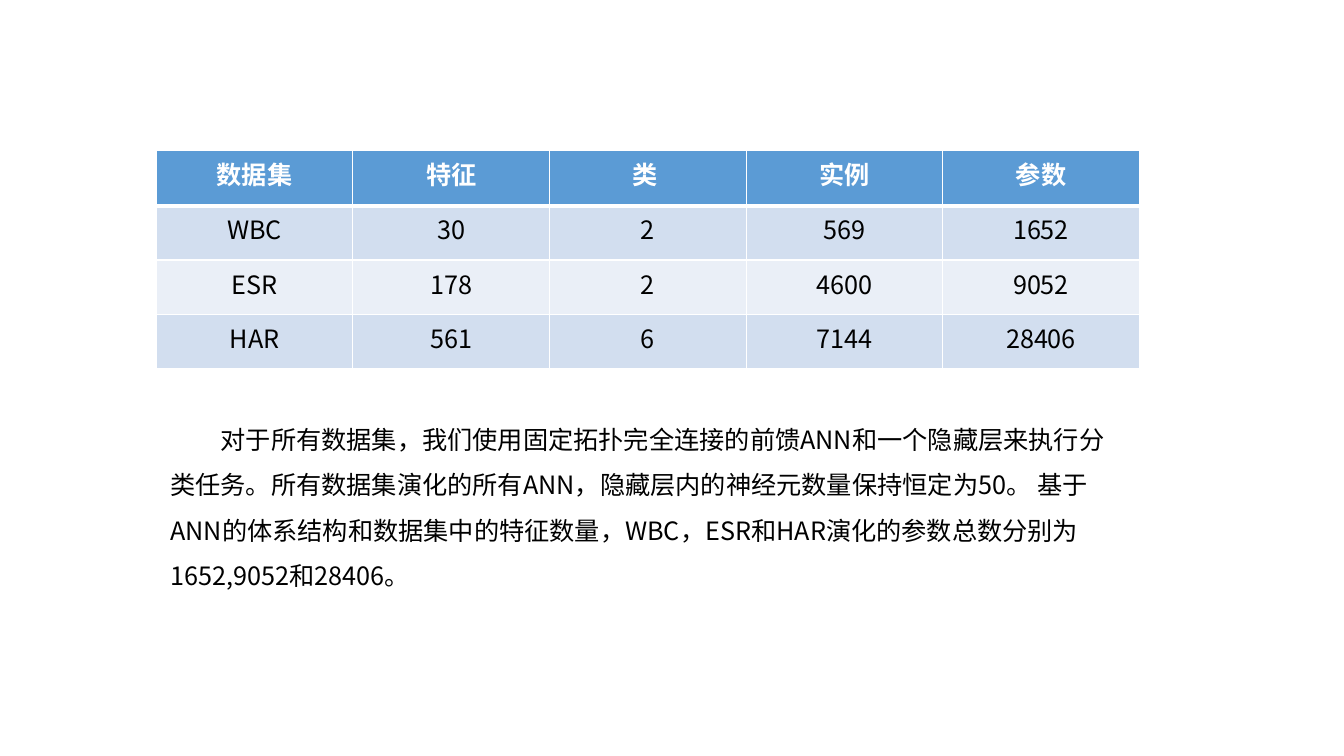
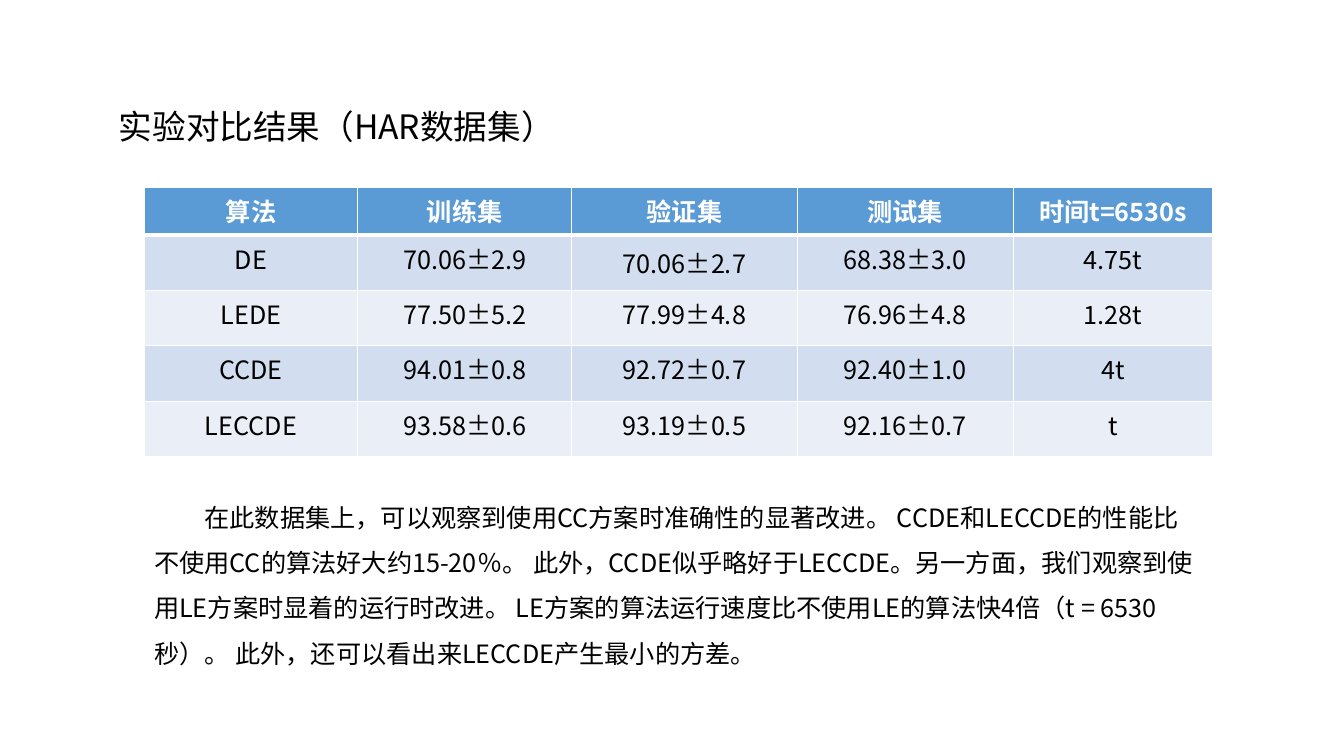
from lxml import etree
from pptx import Presentation
from pptx import util as u
from pptx.dml.color import RGBColor
from pptx.enum import text
from pptx.oxml import ns

COLOURS = {
    "text": "000000",
    "white": "FFFFFF",
    "header": "5B9BD5",
    "band_dark": "D2DEEF",
    "band_light": "EAEFF7",
}
FONT = "Noto Sans CJK SC"
TITLE = {"size": u.Pt(24), "bold": False}
BODY = {"size": u.Pt(18), "bold": False}
HEADER = {"size": u.Pt(18), "bold": True}
THIN, THICK = 1, 3

DATASETS = [
    ["数据集", "特征", "类 ", "实例", "参数"],
    ["WBC", "30", "2", "569", "1652"],
    ["ESR", "178", "2", "4600", "9052"],
    ["HAR", "561", "6", "7144", "28406"],
]
DATASET_NOTE = (
    "对于所有数据集，我们使用固定拓扑完全连接的前馈ANN和一个隐藏层来执行分类任务。"
    "所有数据集演化的所有ANN，隐藏层内的神经元数量保持恒定为50。 "
    "基于ANN的体系结构和数据集中的特征数量，WBC，ESR和HAR演化的参数总数分别为"
    "1652,9052和28406。"
)
RESULTS = [
    ["算法", "训练集", "验证集", "测试集", "时间t=6530s"],
    ["DE", "70.06±2.9", "70.06±2.7", "68.38±3.0", "4.75t"],
    ["LEDE", "77.50±5.2", "77.99±4.8", "76.96±4.8", "1.28t"],
    ["CCDE", "94.01±0.8", "92.72±0.7", "92.40±1.0", "4t"],
    ["LECCDE", "93.58±0.6", "93.19±0.5", "92.16±0.7", "t"],
]
RESULT_NOTE = (
    "在此数据集上，可以观察到使用CC方案时准确性的显著改进。 "
    "CCDE和LECCDE的性能比不使用CC的算法好大约15-20％。 "
    "此外，CCDE似乎略好于LECCDE。另一方面，我们观察到使用LE方案时显着的运行时改进。 "
    "LE方案的算法运行速度比不使用LE的算法快4倍（t = 6530秒）。 "
    "此外，还可以看出来LECCDE产生最小的方差。"
)


def write(para, words, style, colour="text"):
    span = para.add_run()
    span.text = words
    span.font.color.rgb = RGBColor.from_string(COLOURS[colour])
    for name, value in {**style, "name": FONT}.items():
        setattr(span.font, name, value)
    east_asian = etree.SubElement(span.font._element, ns.qn("a:ea"))
    east_asian.set("typeface", FONT)


def add_text(page, box, words, style):
    frame = page.shapes.add_textbox(*map(u.Inches, box)).text_frame
    frame.word_wrap = True
    frame.auto_size = text.MSO_AUTO_SIZE.SHAPE_TO_FIT_TEXT
    para = frame.paragraphs[0]
    write(para, words, style)
    return para


def add_note(page, box, words):
    """Body paragraph with an indented first line and wide line spacing."""
    para = add_text(page, box, words, BODY)
    para.line_spacing = 1.5
    para._p.get_or_add_pPr().set("indent", str(u.Inches(0.5)))


def set_borders(cell, top, bottom):
    """White cell borders; must run before the cell is filled."""
    widths = {"lnL": THIN, "lnR": THIN, "lnT": top, "lnB": bottom}
    for side, points in widths.items():
        line = etree.SubElement(cell._tc.get_or_add_tcPr(), ns.qn(f"a:{side}"))
        line.set("w", str(u.Pt(points)))
        fill = etree.SubElement(line, ns.qn("a:solidFill"))
        etree.SubElement(fill, ns.qn("a:srgbClr")).set("val", COLOURS["white"])


def add_grid(page, left, top, widths, heights, rows):
    """Banded table whose size follows from its column widths and row heights."""
    box = (left, top, sum(widths), sum(heights))
    table = page.shapes.add_table(len(rows), len(widths), *map(u.Inches, box)).table
    for column, width in zip(table.columns, widths):
        column.width = u.Inches(width)
    for index, (height, values) in enumerate(zip(heights, rows)):
        table.rows[index].height = u.Inches(height)
        is_header = index == 0
        band = "header" if is_header else "band_dark" if index % 2 else "band_light"
        for cell, value in zip(table.rows[index].cells, values):
            set_borders(cell, THICK if index == 1 else THIN,
                        THICK if is_header else THIN)
            cell.fill.solid()
            cell.fill.fore_color.rgb = RGBColor.from_string(COLOURS[band])
            para = cell.text_frame.paragraphs[0]
            para.alignment = text.PP_ALIGN.CENTER
            write(para, value, HEADER if is_header else BODY,
                  "white" if is_header else "text")
    return table


def build_datasets(page):
    add_note(page, (1.59, 4.01, 9.68, 1.92), DATASET_NOTE)
    add_grid(page, 1.55, 1.49, [1.95] * 5, [0.55] + [0.54] * 3, DATASETS)


def build_results(page):
    add_text(page, (1.08, 1, 5.32, 0.5), "实验对比结果（HAR数据集）", TITLE)
    table = add_grid(page, 1.43, 1.86, [2.12, 2.12, 2.24, 2.14, 1.98],
                     [0.47] + [0.55] * 4, RESULTS)
    table.cell(1, 2).vertical_anchor = text.MSO_ANCHOR.MIDDLE
    add_note(page, (1.43, 4.78, 10.59, 1.92), RESULT_NOTE)


def main():
    deck = Presentation()
    deck.slide_width, deck.slide_height = u.Inches(13.33), u.Inches(7.5)
    for build in (build_datasets, build_results):
        build(deck.slides.add_slide(deck.slide_layouts[6]))
    deck.save("out.pptx")


if __name__ == "__main__":
    main()
